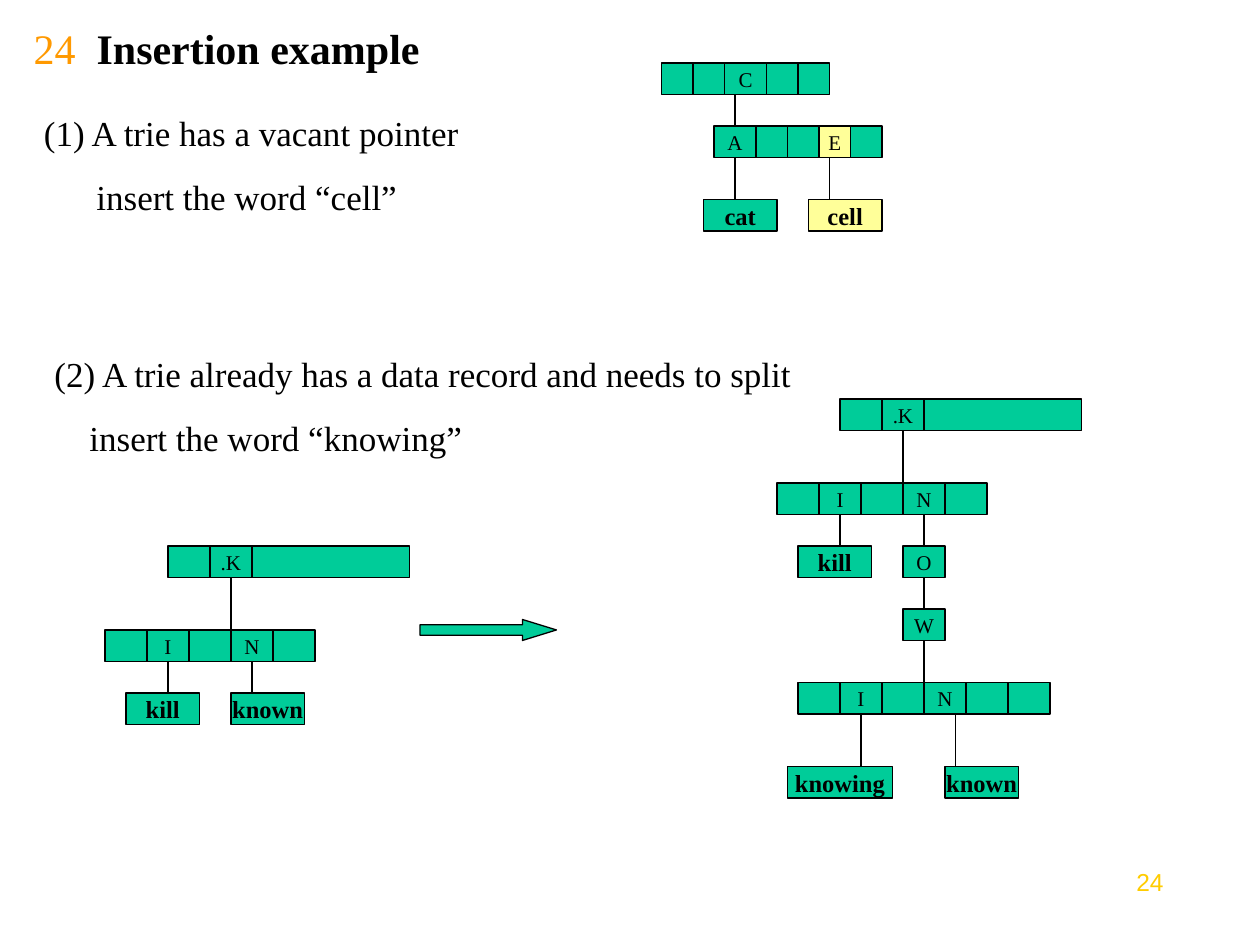
from dataclasses import dataclass
from lxml.etree import SubElement
from pptx import Presentation
from pptx.dml.color import RGBColor
from pptx.enum.shapes import MSO_CONNECTOR, MSO_SHAPE
from pptx.enum.text import MSO_ANCHOR, PP_ALIGN
from pptx.oxml.ns import qn
from pptx.util import Inches, Pt


@dataclass(frozen=True)
class Theme:
    ink: str = "000000"
    node: str = "00CC99"
    new: str = "FFFF99"
    number: str = "FF9900"
    footer: str = "FFCC00"
    serif: str = "Times New Roman"
    sans: str = "Arial"
    title: int = 24
    body: int = 20
    leaf: int = 14
    key: int = 12
    line: float = 0.75
    gap: float = 12.5


T = Theme()
UNIT = Inches(10) // 120
NODE_H = 3

NUMBER, TITLE = "24", "Insertion example"
STEPS = [
    ((3, 10, 110, 17.4), 30, ["(1) A trie has a vacant pointer", "insert the word “cell”"]),
    ((4, 33, 92, 11.3), 20,
     ["(2) A trie already has a data record and needs to split", "insert the word “knowing”"]),
]
ARROW = (40, 59, 13, 2)
PAGE = (104, 82, 8, 6.2)

# rows: left, top, cell widths, keys; leaves: left, top, width, word; links: x, top, bottom
VACANT = {
    "rows": [(63, 6, (3, 3, 4, 3, 3), ("", "", "C", "", "")),
             (68, 12, (4, 3, 3, 3, 3), ("A", "", "", "E", ""))],
    "leaves": [(67, 19, 7, "cat"), (77, 19, 7, "cell")],
    "links": [(70, 9, 12), (70, 15, 19), (79, 15, 19)],
}
BRANCH = {
    "rows": [(6, 0, (4, 4, 15), ("", ".K", "")),
             (0, 8, (4,) * 5, ("", "I", "", "N", ""))],
    "leaves": [(2, 14, 7, "kill")],
    "links": [(12, 3, 8), (6, 11, 14), (14, 11, 14)],
}
BEFORE = {"rows": [], "leaves": [(12, 14, 7, "known")], "links": []}
AFTER = {
    "rows": [(12, 14, (4,), ("O",)), (12, 20, (4,), ("W",)),
             (2, 27, (4,) * 6, ("", "I", "", "N", "", ""))],
    "leaves": [(1, 35, 10, "knowing"), (16, 35, 7, "known")],
    "links": [(14, 17, 20), (14, 23, 28), (8, 30, 35), (17, 30, 35)],
}
TRIES = [((0, 0), [VACANT]), ((10, 52), [BRANCH, BEFORE]), ((74, 38), [BRANCH, AFTER])]
INSERTED = {"E", "cell"}


def grid(*cells):
    return [round(c * UNIT) for c in cells]


def style(r, size, color=T.ink, font=T.serif, bold=False):
    r.font.size, r.font.name, r.font.bold = Pt(size), font, bold
    r.font.color.rgb = RGBColor.from_string(color)


def paint(sp, color):
    sp.shadow.inherit = False
    sp.fill.solid()
    sp.fill.fore_color.rgb = RGBColor.from_string(color)
    sp.line.color.rgb = RGBColor.from_string(T.ink)
    sp.line.width = Pt(T.line)


def add_node(shapes, x, y, w, text, size, bold=False):
    sp = shapes.add_shape(MSO_SHAPE.RECTANGLE, *grid(x, y, w, NODE_H))
    paint(sp, T.new if text in INSERTED else T.node)
    if text:
        tf = sp.text_frame
        tf.text, tf.word_wrap, tf.vertical_anchor = text, False, MSO_ANCHOR.MIDDLE
        p = tf.paragraphs[0]
        p.alignment = PP_ALIGN.CENTER
        style(p.runs[0], size, bold=bold)


def add_link(shapes, x, top, bottom):
    ln = shapes.add_connector(MSO_CONNECTOR.STRAIGHT, *grid(x, top, x, bottom))
    ln.line.color.rgb = RGBColor.from_string(T.ink)
    ln.line.width = Pt(T.line)
    SubElement(ln._element.spPr, qn("a:effectLst"))


def add_trie(s, origin, parts):
    shapes = s.shapes.add_group_shape().shapes
    dx, dy = origin
    for part in parts:
        for left, top, widths, keys in part["rows"]:
            x = left + dx
            for w, key in zip(widths, keys):
                add_node(shapes, x, top + dy, w, key, T.key)
                x += w
        for left, top, w, word in part["leaves"]:
            add_node(shapes, left + dx, top + dy, w, word, T.leaf, bold=True)
        for x, top, bottom in part["links"]:
            add_link(shapes, x + dx, top + dy, bottom + dy)


def add_title(s):
    sp = s.shapes.title
    sp.left, sp.top, sp.width, sp.height = grid(2, 2, 102, 5)
    tf = sp.text_frame
    tf.vertical_anchor, tf.word_wrap = MSO_ANCHOR.MIDDLE, True
    p = tf.paragraphs[0]
    p.alignment = PP_ALIGN.LEFT
    tabs = SubElement(p._p.get_or_add_pPr(), qn("a:tabLst"))
    SubElement(tabs, qn("a:tab"), pos=str(Inches(0.5)), algn="l")
    for text, color, bold in [(NUMBER + "\t", T.number, False), (TITLE, T.ink, True)]:
        r = p.add_run()
        r.text = text
        style(r, T.title, color, bold=bold)


def add_step(s, box, indent, lines):
    tf = s.shapes.add_textbox(*grid(*box)).text_frame
    tf.word_wrap = True
    tf.text = "\n".join(lines)
    for i, p in enumerate(tf.paragraphs):
        if i:
            p.space_before = Pt(T.gap)
            p._p.get_or_add_pPr().set("marL", str(Pt(indent)))
        style(p.runs[0], T.body)


def add_page_number(s):
    tf = s.shapes.add_textbox(*grid(*PAGE)).text_frame
    tf.text, tf.word_wrap = NUMBER, True
    p = tf.paragraphs[0]
    p.alignment = PP_ALIGN.RIGHT
    style(p.runs[0], T.leaf, T.footer, T.sans)


def main():
    prs = Presentation()
    prs.slide_width, prs.slide_height = Inches(10), Inches(7.5)
    s = prs.slides.add_slide(prs.slide_layouts[5])
    add_title(s)
    for step in STEPS:
        add_step(s, *step)
    for trie in TRIES:
        add_trie(s, *trie)
    arrow = s.shapes.add_shape(MSO_SHAPE.RIGHT_ARROW, *grid(*ARROW))
    arrow.adjustments[0], arrow.adjustments[1] = 0.5, 1.62
    paint(arrow, T.node)
    add_page_number(s)
    prs.save("out.pptx")


if __name__ == "__main__":
    main()
